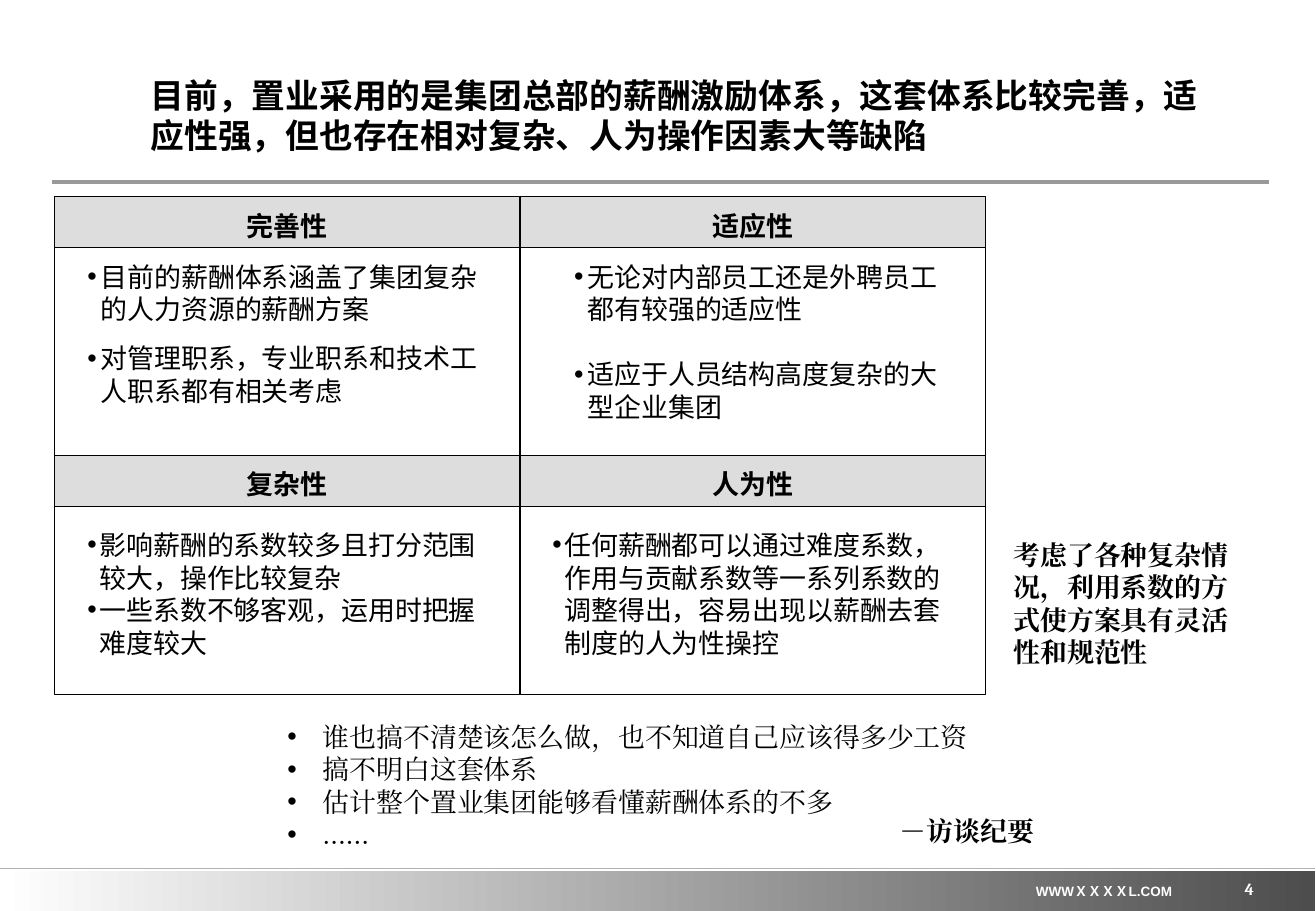
from pptx import Presentation
from pptx.dml.color import RGBColor
from pptx.enum.shapes import MSO_CONNECTOR, MSO_SHAPE
from pptx.enum.text import MSO_ANCHOR, MSO_AUTO_SIZE, PP_ALIGN
from pptx.oxml.ns import qn
from pptx.util import Inches, Pt
from lxml.etree import SubElement

# Content
TITLE = "目前，置业采用的是集团总部的薪酬激励体系，这套体系比较完善，适应性强，但也存在相对复杂、人为操作因素大等缺陷"

# Each quadrant: heading, points, gap between points (pt), hanging indent, left/top/right insets
QUADRANTS = [
    [
        ("完善性",
         ["目前的薪酬体系涵盖了集团复杂的人力资源的薪酬方案",
          "对管理职系，专业职系和技术工人职系都有相关考虑"],
         10, 0.11, (0.27, 0.1, 0.34)),
        ("适应性",
         ["无论对内部员工还是外聘员工都有较强的适应性",
          "适应于人员结构高度复杂的大型企业集团"],
         19.3, 0.11, (0.44, 0.1, 0.28)),
    ],
    [
        ("复杂性",
         ["影响薪酬的系数较多且打分范围较大，操作比较复杂",
          "一些系数不够客观，运用时把握难度较大"],
         0, 0.1, (0.27, 0.18, 0.34)),
        ("人为性",
         ["任何薪酬都可以通过难度系数，作用与贡献系数等一系列系数的调整得出，容易出现以薪酬去套制度的人为性操控"],
         0, 0.1, (0.26, 0.18, 0.35)),
    ],
]
INTERVIEW_POINTS = [
    "谁也搞不清楚该怎么做，也不知道自己应该得多少工资",
    "搞不明白这套体系",
    "估计整个置业集团能够看懂薪酬体系的不多",
    "……",
]
INTERVIEW_SOURCE = "－访谈纪要"
SIDE_NOTE = "考虑了各种复杂情况，利用系数的方式使方案具有灵活性和规范性"
WEBSITE = "WWWＸＸＸＸL.COM"
PAGE_NUMBER = "4"


class Theme:
    black = RGBColor(0x00, 0x00, 0x00)
    white = RGBColor(0xFF, 0xFF, 0xFF)
    heading_fill = RGBColor(0xDD, 0xDD, 0xDD)
    title_rule = RGBColor(0x99, 0x99, 0x99)
    footer_rule = RGBColor(0xB2, 0xB2, 0xB2)
    footer_end = RGBColor(0x4D, 0x4D, 0x4D)
    sans, serif, latin, number = "Noto Sans CJK SC", "TeX Gyre Pagella", "Arial", "Cambria"
    title_size, body_size, website_size, number_size = 20, 16, 8, 10
    line_factor = 1.205


# Grid geometry
GRID_LEFT, GRID_TOP = 0.45, 1.62
COLUMN_WIDTH, COLUMN_STEP = 3.83, 3.84
HEADING_HEIGHT = 0.42
BODY_HEIGHTS = [1.71, 1.55]

deck = Presentation()
deck.slide_width, deck.slide_height = Inches(10.84), Inches(7.5)
page = deck.slides.add_slide(deck.slide_layouts[5])


def add_bullet(para, indent):
    properties = para._p.get_or_add_pPr()
    properties.set("marL", str(Inches(indent)))
    properties.set("indent", str(-Inches(indent)))
    SubElement(properties, qn("a:buFont")).set("typeface", "Arial")
    SubElement(properties, qn("a:buChar")).set("char", "•")


def write(box, lines, font, size, color=Theme.black, bold=False, align=PP_ALIGN.LEFT,
          anchor=MSO_ANCHOR.TOP, insets=(0.1, 0.05, 0.1, 0.05), wrap=True, gap=0, indent=0):
    frame = box.text_frame
    margins = dict(zip(("margin_left", "margin_top", "margin_right", "margin_bottom"),
                       map(Inches, insets)))
    settings = {"word_wrap": wrap, "auto_size": MSO_AUTO_SIZE.NONE,
                "vertical_anchor": anchor, **margins}
    for name, value in settings.items():
        setattr(frame, name, value)
    for index, line in enumerate(lines):
        para = frame.paragraphs[0] if index == 0 else frame.add_paragraph()
        para.alignment = align
        para.line_spacing = Pt(size * Theme.line_factor)
        para.space_before = Pt(gap if index else 0)
        if indent:
            add_bullet(para, indent)
        span = para.add_run()
        span.text = line
        for name, value in {"name": font, "size": Pt(size), "bold": bold}.items():
            setattr(span.font, name, value)
        span.font.color.rgb = color
        SubElement(span.font._element, qn("a:ea")).set("typeface", font)


def add_text(place, lines, font, size, **options):
    box = page.shapes.add_textbox(*map(Inches, place))
    write(box, lines, font, size, **options)


def add_cell(left, top, height, fill):
    cell = page.shapes.add_shape(
        MSO_SHAPE.RECTANGLE, *map(Inches, (left, top, COLUMN_WIDTH, height)))
    cell.shadow.inherit = False
    cell.fill.solid()
    cell.fill.fore_color.rgb = fill
    cell.line.color.rgb = Theme.black
    cell.line.width = Pt(0.75)
    return cell


def add_rule(left, right, top, color, width):
    rule = page.shapes.add_connector(
        MSO_CONNECTOR.STRAIGHT, *map(Inches, (left, top, right, top)))
    rule.line.color.rgb = color
    rule.line.width = Pt(width)
    SubElement(rule._element.spPr, qn("a:effectLst"))


# Title and its rule
title = page.shapes.title
title.left, title.top, title.width, title.height = map(Inches, (1.24, 0.58, 8.78, 0.73))
write(title, [TITLE], Theme.sans, Theme.title_size, bold=True,
      anchor=MSO_ANCHOR.MIDDLE, insets=(0, 0, 0, 0))
add_rule(0.43, 10.45, 1.5, Theme.title_rule, 2.5)

# Footer band
band = page.shapes.add_shape(MSO_SHAPE.RECTANGLE, *map(Inches, (0, 7.17, 10.83, 0.33)))
band.shadow.inherit = False
band.line.fill.background()
band.fill.gradient()
band.fill.gradient_angle = 0
for stop, color in zip(band.fill.gradient_stops, (Theme.white, Theme.footer_end)):
    stop.color.rgb = color
add_rule(0, 10.83, 7.15, Theme.footer_rule, 1)
add_text((8.41, 7.22, 1.37, 0.24), [WEBSITE], Theme.latin, Theme.website_size,
         color=Theme.white, bold=True, align=PP_ALIGN.CENTER, wrap=False)
add_text((8.07, 7.07, 2.26, 0.33), [PAGE_NUMBER], Theme.number, Theme.number_size,
         color=Theme.white, bold=True, align=PP_ALIGN.RIGHT,
         anchor=MSO_ANCHOR.BOTTOM, insets=(0, 0, 0, 0))

# Quadrant grid
top = GRID_TOP
for quadrants, body_height in zip(QUADRANTS, BODY_HEIGHTS):
    for column, (heading, points, gap, indent, insets) in enumerate(quadrants):
        left = GRID_LEFT + column * COLUMN_STEP
        write(add_cell(left, top, HEADING_HEIGHT, Theme.heading_fill), [heading],
              Theme.latin, Theme.body_size, bold=True, align=PP_ALIGN.CENTER,
              insets=(0.1, 0.1, 0.1, 0))
        write(add_cell(left, top + HEADING_HEIGHT, body_height, Theme.white), points,
              Theme.sans, Theme.body_size, insets=(*insets, 0.05), gap=gap, indent=indent)
    top += HEADING_HEIGHT + body_height

# Side note and interview remarks
add_text((8.25, 4.38, 2.14, 1.17), [SIDE_NOTE], Theme.serif, Theme.body_size, bold=True)
add_text((2.27, 5.88, 6.53, 1.17), INTERVIEW_POINTS, Theme.serif, Theme.body_size, indent=0.29)
add_text((7.31, 6.66, 1.31, 0.37), [INTERVIEW_SOURCE], Theme.serif, Theme.body_size,
         bold=True, align=PP_ALIGN.CENTER, wrap=False)

deck.save("out.pptx")
